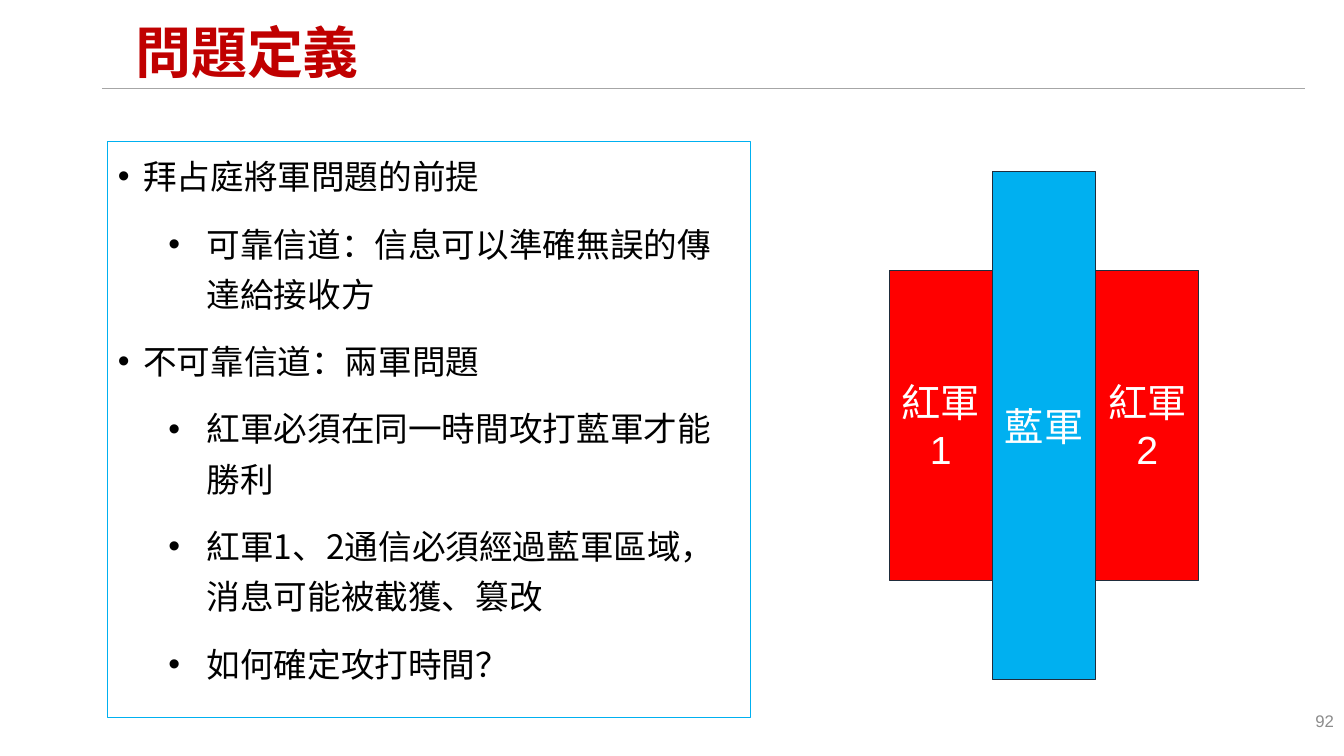
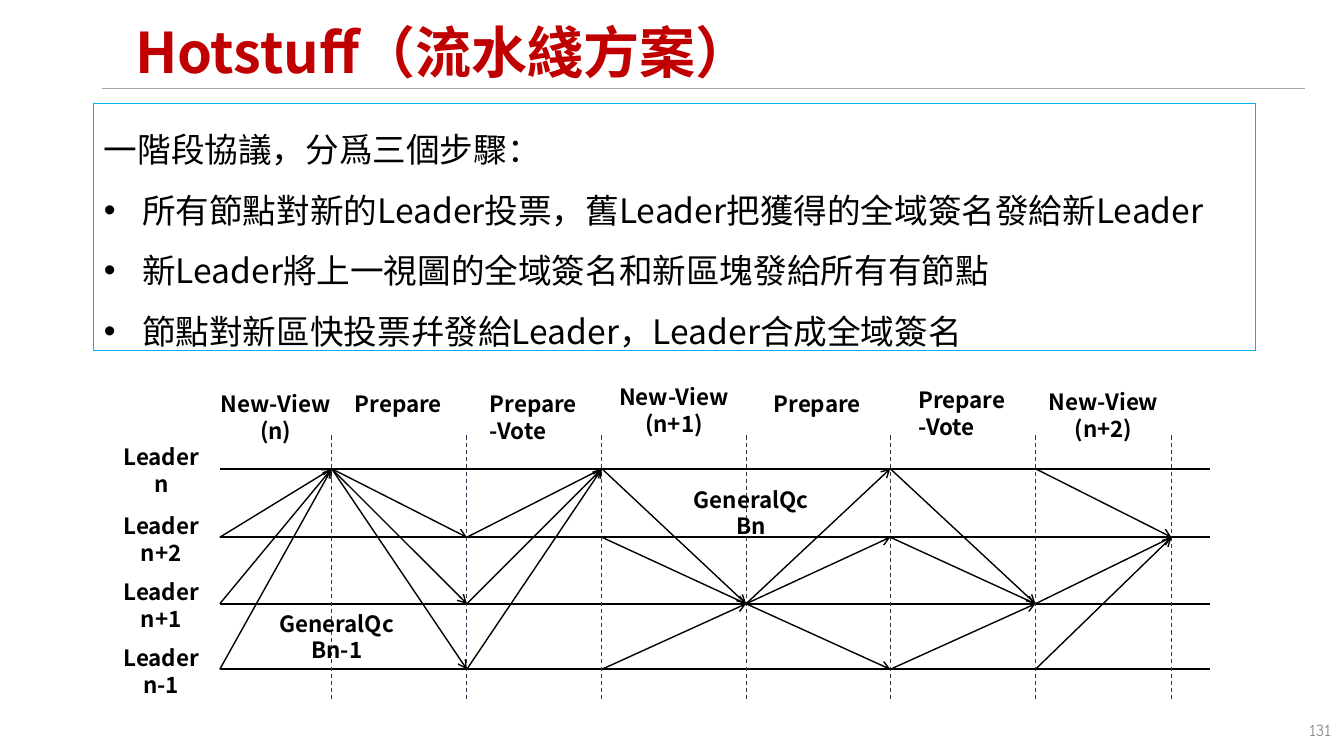
import pptx
import pptx.util
import pptx.dml.color
import pptx.enum.dml
import pptx.enum.shapes
import pptx.enum.text
import pptx.oxml.ns
from lxml import etree

Inches = pptx.util.Inches
Pt = pptx.util.Pt
ALIGN = pptx.enum.text.PP_ALIGN
ANCHOR = pptx.enum.text.MSO_ANCHOR
FIT = pptx.enum.text.MSO_AUTO_SIZE

COLORS = {
    "title": "C00000", "rule": "A6A6A6", "frame": "00B0F0", "ink": "000000",
    "red": "FF0000", "blue": "00B0F0", "edge": "1F2D3D", "divider": "2A3D52",
    "white": "FFFFFF", "page": "8C8C8C",
}
CJK = "Noto Sans CJK SC"
FONTS = {
    "title": {"size": Pt(40), "bold": True, "name": CJK},
    "list": {"size": Pt(24), "name": CJK},
    "label": {"size": Pt(16), "bold": True, "name": CJK},
    "army": {"size": Pt(28), "name": "Arial"},
    "page": {"size": Pt(12)},
}
PREMISE_LEVELS = [(0.25, -0.25), (0.88, -0.38)]
STEP_LEVELS = [None, (0.38, -0.38)]


def rgb(name):
    return pptx.dml.color.RGBColor.from_string(COLORS[name])


def apply(target, values):
    for attribute, value in values.items():
        setattr(target, attribute, value)


def add_tag(parent, tag, **attributes):
    child = etree.SubElement(parent, pptx.oxml.ns.qn(tag))
    for key, value in attributes.items():
        child.set(key, value)
    return child


def place(shape, box):
    apply(shape, dict(zip(("left", "top", "width", "height"), map(Inches, box))))


def write(paragraph, text, font, color, **layout):
    apply(paragraph, layout)
    run = paragraph.add_run()
    run.text = text
    apply(run.font, font)
    run.font.color.rgb = rgb(color)
    if font["name"] == CJK:
        add_tag(run._r.get_or_add_rPr(), "a:ea", typeface=CJK)


def paragraphs(frame, lines):
    for index, line in enumerate(lines):
        yield (frame.add_paragraph() if index else frame.paragraphs[0]), line


def add_line(slide, start, end, color, width, dashed=False, arrow=False):
    line = slide.shapes.add_connector(
        pptx.enum.shapes.MSO_CONNECTOR.STRAIGHT, *map(Inches, (*start, *end)))
    line.line.color.rgb = rgb(color)
    line.line.width = Pt(width)
    if dashed:
        line.line.dash_style = pptx.enum.dml.MSO_LINE.DASH
    if arrow:
        add_tag(line.line._get_or_add_ln(), "a:tailEnd", type="arrow")
    add_tag(line._element.spPr, "a:effectLst")


def add_slide(deck, title, page, page_box, page_font):
    slide = deck.slides.add_slide(deck.slide_layouts[1])
    heading = slide.shapes.title
    place(heading, (1.24, 0.15, 11.18, 0.79))
    apply(heading.text_frame, {"vertical_anchor": ANCHOR.MIDDLE, "auto_size": FIT.NONE})
    write(heading.text_frame.paragraphs[0], title, FONTS["title"], "title",
          alignment=ALIGN.LEFT, line_spacing=0.9)
    add_line(slide, (1.01, 0.88), (12.94, 0.88), "rule", 1)
    number = slide.shapes.add_textbox(*map(Inches, page_box)).text_frame
    apply(number, {"word_wrap": True, "vertical_anchor": ANCHOR.MIDDLE})
    write(number.paragraphs[0], page, {**FONTS["page"], "name": page_font}, "page",
          alignment=ALIGN.RIGHT)
    return slide


def fill_list(slide, box, items, levels, line_spacing, gap):
    body = slide.placeholders[1]
    place(body, box)
    body.line.color.rgb = rgb("frame")
    body.line.width = Pt(0.75)
    frame = body.text_frame
    apply(frame, {"vertical_anchor": ANCHOR.TOP, "auto_size": FIT.NONE, "word_wrap": True})
    for paragraph, (level, text) in paragraphs(frame, items):
        properties = paragraph._p.get_or_add_pPr()
        margin, indent = levels[level] or (0, 0)
        properties.set("marL", str(Inches(margin)))
        properties.set("indent", str(Inches(indent)))
        if levels[level]:
            add_tag(properties, "a:buFont", typeface="Arial")
            add_tag(properties, "a:buChar", char="•")
        else:
            add_tag(properties, "a:buNone")
        first = paragraph._p is frame.paragraphs[0]._p
        write(paragraph, text, FONTS["list"], "ink", alignment=ALIGN.LEFT,
              line_spacing=line_spacing, space_before=Pt(0 if first else gap),
              space_after=Pt(gap))


def draw_armies(slide, box):
    left, top, width, height = box
    column = width / 3
    armies = [(0, "紅軍1", "red", 0.61), (2, "紅軍2", "red", 0.61), (1, "藍軍", "blue", 1)]
    for position, name, color, share in armies:
        army = slide.shapes.add_shape(pptx.enum.shapes.MSO_SHAPE.RECTANGLE, 0, 0, 0, 0)
        place(army, (left + position * column, top + height * (1 - share) / 2,
                     column, height * share))
        army.shadow.inherit = False
        army.fill.solid()
        army.fill.fore_color.rgb = rgb(color)
        army.line.color.rgb = rgb(COLORS and "edge")
        army.line.width = Pt(1)
        apply(army.text_frame, {"word_wrap": True, "vertical_anchor": ANCHOR.MIDDLE})
        write(army.text_frame.paragraphs[0], name, FONTS["army"], "white",
              alignment=ALIGN.CENTER)


def add_label(slide, center, top, width, lines, alignment=ALIGN.CENTER):
    label = slide.shapes.add_textbox(0, 0, 0, 0)
    place(label, (center - width / 2, top, width, 0.1 + 0.27 * len(lines)))
    apply(label.text_frame, {"word_wrap": False, "auto_size": FIT.SHAPE_TO_FIT_TEXT})
    for paragraph, line in paragraphs(label.text_frame, lines):
        write(paragraph, line, FONTS["label"], "ink", alignment=alignment)


def draw_pipeline(slide, box):
    left, top, width, height = box
    stops = [left + x for x in (1.09, 2.2, 3.54, 4.88, 6.31, 7.74, 9.18, 10.53)]
    tracks = [top + y for y in (0.9, 1.58, 2.24, 2.89)]
    leaders = ["n", "n+2", "n+1", "n-1"]
    phases = [
        (["New-View", "(n)"], 0.07, "gather", "n"),
        (["Prepare"], 0.07, "spread", "n"),
        (["Prepare", "-Vote"], 0.07, "gather", "n"),
        (["New-View", "(n+1)"], 0, "gather", "n+1"),
        (["Prepare"], 0.07, "spread", "n+1"),
        (["Prepare", "-Vote"], 0.03, "gather", "n+1"),
        (["New-View", "(n+2)"], 0.05, "gather", "n+2"),
    ]
    for leader, track in zip(leaders, tracks):
        add_line(slide, (stops[0], track), (left + width, track), "ink", 1.5)
        add_label(slide, left + 0.51, track - 0.3, 0.96, ["Leader", leader])
    for stop in stops[1:]:
        add_line(slide, (stop, top + 0.57), (stop, top + height), "divider", 0.75, dashed=True)
    for (lines, drop, direction, leader), start, end in zip(phases, stops, stops[1:]):
        centered = lines[0] == "New-View"
        add_label(slide, (start + end) / 2, top + drop, 1.36 if centered else 1.08, lines,
                  ALIGN.CENTER if centered else ALIGN.LEFT)
        hub = tracks[leaders.index(leader)]
        for track in tracks:
            if track != hub:
                source, target = (track, hub) if direction == "gather" else (hub, track)
                add_line(slide, (start, source), (end, target), "ink", 1, arrow=True)
    for stop, drop, block in ((1, 2.25, "Bn-1"), (4, 1.02, "Bn")):
        add_label(slide, stops[stop] + 0.05, top + drop, 1.37, ["GeneralQc", block])


def main():
    deck = pptx.Presentation()
    apply(deck, {"slide_width": Inches(13.33), "slide_height": Inches(7.5)})

    problem = add_slide(deck, "問題定義", "92", (10.33, 6.95, 3, 0.4), "Arial")
    fill_list(problem, (1.07, 1.4, 6.37, 5.72), [
        (0, "拜占庭將軍問題的前提"),
        (1, "可靠信道：信息可以準確無誤的傳達給接收方"),
        (0, "不可靠信道：兩軍問題"),
        (1, "紅軍必須在同一時間攻打藍軍才能勝利"),
        (1, "紅軍1、2通信必須經過藍軍區域，消息可能被截獲、篡改"),
        (1, "如何確定攻打時間？"),
    ], PREMISE_LEVELS, Pt(36), 6)
    draw_armies(problem, (8.82, 1.7, 3.07, 5.04))

    hotstuff = add_slide(deck, "Hotstuff（流水綫方案）", "131",
                         (10.19, 7.04, 3.11, 0.4), "Comic Neue")
    fill_list(hotstuff, (0.93, 1.03, 11.52, 2.45), [
        (0, "一階段協議，分爲三個步驟："),
        (1, "所有節點對新的Leader投票，舊Leader把獲得的全域簽名發給新Leader"),
        (1, "新Leader將上一視圖的全域簽名和新區塊發給所有有節點"),
        (1, "節點對新區快投票幷發給Leader，Leader合成全域簽名"),
    ], STEP_LEVELS, 1.5, 0)
    draw_pipeline(hotstuff, (1.09, 3.75, 10.91, 3.18))

    deck.save("out.pptx")


if __name__ == "__main__":
    main()
